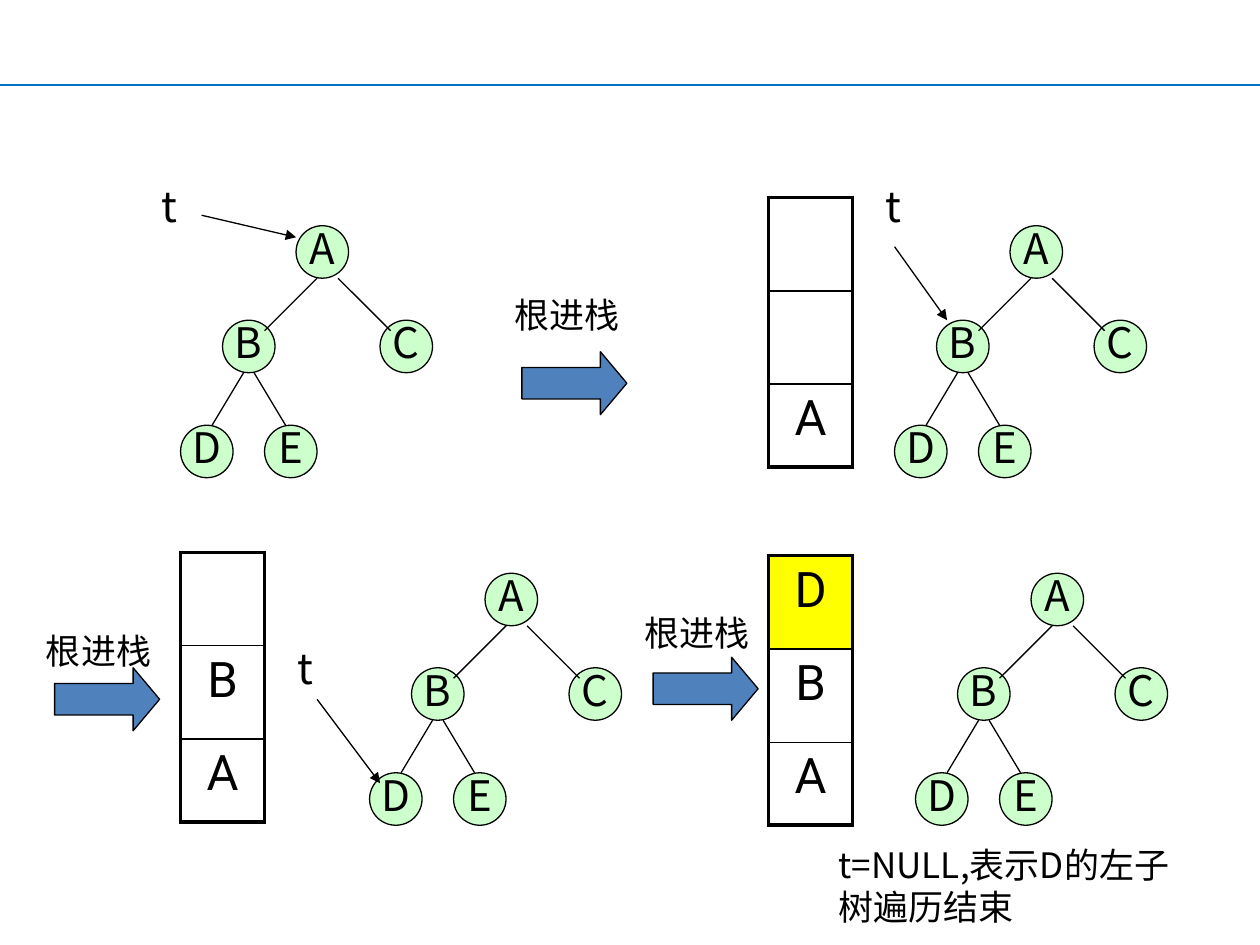
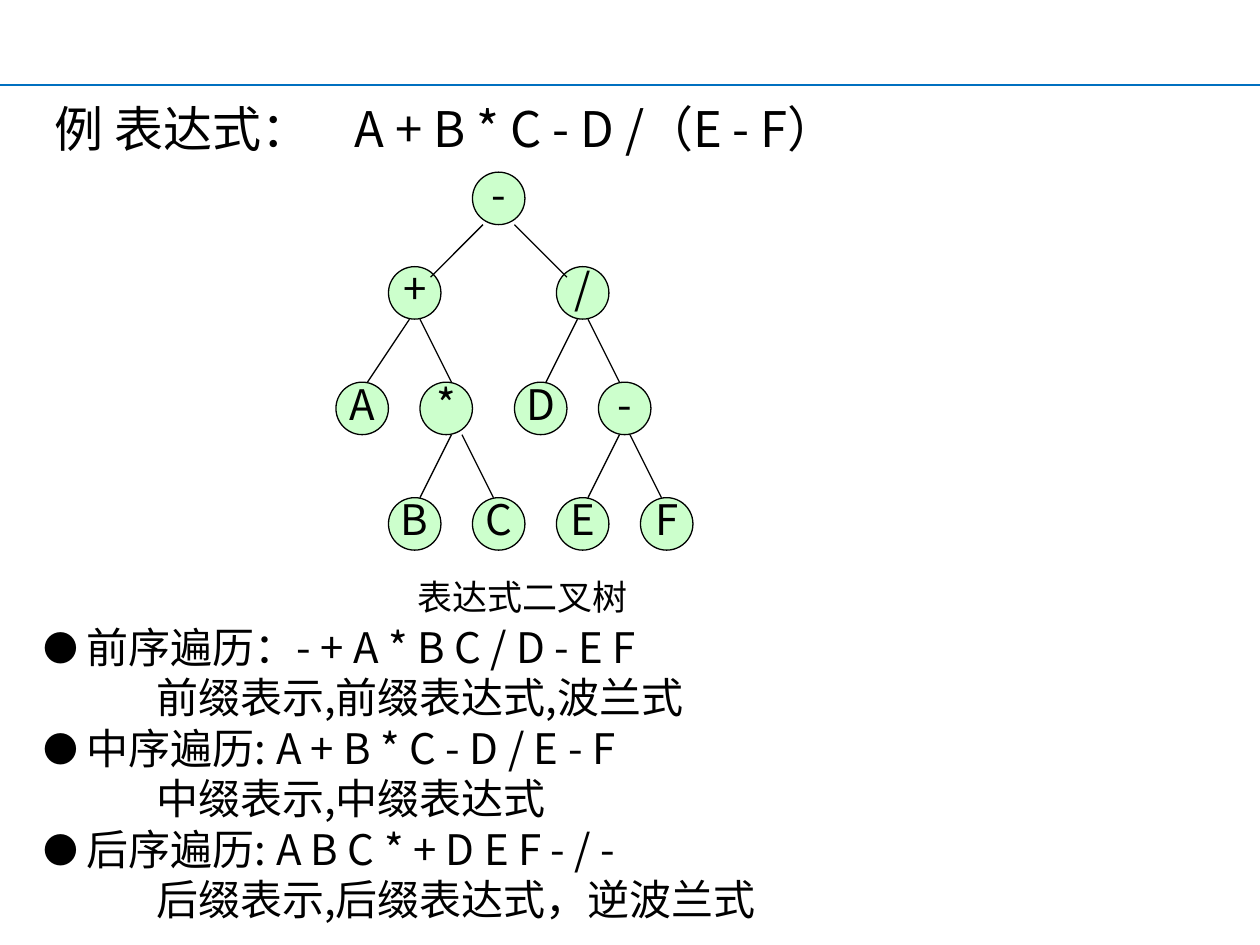
from lxml import etree
from pptx import Presentation
from pptx.dml.color import RGBColor
from pptx.enum.shapes import MSO_CONNECTOR, MSO_SHAPE
from pptx.enum.text import MSO_ANCHOR, PP_ALIGN
from pptx.oxml.ns import qn
from pptx.util import Emu, Pt

EMU_PER_PX = 7620
SLIDE_SIZE = (1200, 900)
FONT, STACK_FONT = "Noto Sans CJK SC", "Roboto"
BLACK, BLUE_RULE, ARROW_BLUE = "000000", "0070C0", "4F81BD"
NODE_GREEN, TOP_YELLOW = "CCFFCC", "FFFF00"
STRAIGHT = MSO_CONNECTOR.STRAIGHT
OVAL, RIGHT_ARROW = MSO_SHAPE.OVAL, MSO_SHAPE.RIGHT_ARROW
CENTER, LEFT = PP_ALIGN.CENTER, PP_ALIGN.LEFT
MIDDLE = MSO_ANCHOR.MIDDLE
NODE_SIZE = 50
STACK_WIDTH, STACK_ROWS = 80, (89, 89, 79)

LETTER_NODES = [("A", 0, 0), ("B", -70, 90), ("C", 80, 90),
                ("D", -110, 190), ("E", -30, 190)]
LETTER_EDGES = [(20, 50, -30, 100), (40, 50, 90, 100),
                (-50, 140, -80, 190), (-40, 140, -10, 190)]
EXPRESSION_NODES = [("-", 0, 0), ("+", -80, 90), ("/", 80, 90),
                    ("A", -130, 200), ("*", -50, 200), ("D", 40, 200), ("-", 120, 200),
                    ("B", -80, 310), ("C", 0, 310), ("E", 80, 310), ("F", 160, 310)]
EXPRESSION_EDGES = [(10, 50, -40, 100), (40, 50, 90, 100),
                    (-60, 140, -100, 200), (-50, 140, -20, 200),
                    (100, 140, 70, 200), (110, 140, 140, 200),
                    (-20, 250, -50, 310), (-10, 250, 20, 310),
                    (140, 250, 110, 310), (150, 250, 180, 310)]
TRAVERSALS = [("前序遍历：- + A * B C / D - E F", "前缀表示,前缀表达式,波兰式"),
              ("中序遍历: A + B * C - D / E - F", "中缀表示,中缀表达式"),
              ("后序遍历: A B C * + D E F - / -", "后缀表示,后缀表达式，逆波兰式")]


def px(value):
    """Turn px into EMU."""
    return Emu(value * EMU_PER_PX)


def color(hex_text):
    """Turn a hex string into a colour."""
    return RGBColor.from_string(hex_text)


def write(paragraph, text, size, font=FONT, align=LEFT):
    """Put black text of one font into a paragraph."""
    paragraph.text = text
    paragraph.alignment = align
    paragraph.font.size = Pt(size)
    paragraph.font.color.rgb = color(BLACK)
    paragraph.font.name = font
    east_asian = etree.SubElement(paragraph.font._element, qn("a:ea"))
    east_asian.set("typeface", font)


def add_line(slide, start_x, start_y, end_x, end_y, line_color=BLACK, width=0.75, arrow=False):
    """Draw a straight line, with an arrowhead at its end if asked."""
    line = slide.shapes.add_connector(STRAIGHT, px(start_x), px(start_y), px(end_x), px(end_y))
    line.line.color.rgb = color(line_color)
    line.line.width = Pt(width)
    if arrow:
        etree.SubElement(line.line._get_or_add_ln(), qn("a:tailEnd")).set("type", "triangle")
    etree.SubElement(line._element.spPr, qn("a:effectLst"))


def add_outlined(slide, kind, left, top, width, height, fill):
    """Draw a filled preset shape with a thin black outline."""
    shape = slide.shapes.add_shape(kind, px(left), px(top), px(width), px(height))
    shape.shadow.inherit = False
    shape.fill.solid()
    shape.fill.fore_color.rgb = color(fill)
    shape.line.color.rgb = color(BLACK)
    shape.line.width = Pt(0.75)
    return shape


def add_text(slide, text, left, top, width, height, size, wrap=True):
    """Add a text box and return its first paragraph."""
    box = slide.shapes.add_textbox(px(left), px(top), px(width), px(height))
    box.text_frame.word_wrap = wrap
    paragraph = box.text_frame.paragraphs[0]
    write(paragraph, text, size)
    return paragraph


def add_tree(slide, left, top, nodes, edges):
    """Draw a binary tree whose root circle has the given corner."""
    for label, across, down in nodes:
        node = add_outlined(slide, OVAL, left + across, top + down,
                            NODE_SIZE, NODE_SIZE, NODE_GREEN)
        node.text_frame.word_wrap = False
        node.text_frame.vertical_anchor = MIDDLE
        paragraph = node.text_frame.paragraphs[0]
        paragraph.line_spacing = 0.8
        write(paragraph, label, 24, align=CENTER)
    for start_x, start_y, end_x, end_y in edges:
        add_line(slide, left + start_x, top + start_y, left + end_x, top + end_y)


def add_pointer(slide, left, top, arrow):
    """Draw the pointer t with its arrow."""
    add_text(slide, "t", left, top, 110, 60, 24)
    add_line(slide, *arrow, arrow=True)


def set_border(cell, side, width):
    """Give one side of a cell a black border."""
    border = etree.SubElement(cell._tc.get_or_add_tcPr(), qn(f"a:ln{side}"), w=str(Pt(width)))
    fill = etree.SubElement(border, qn("a:solidFill"))
    etree.SubElement(fill, qn("a:srgbClr"), val=BLACK)


def add_stack(slide, left, top, items, top_fill=None):
    """Draw a stack as a one-column table, top item first."""
    table = slide.shapes.add_table(len(items), 1, px(left), px(top),
                                   px(STACK_WIDTH), px(sum(STACK_ROWS))).table
    table.first_row = table.horz_banding = False
    last = len(items) - 1
    for index, item in enumerate(items):
        table.rows[index].height = px(STACK_ROWS[index])
        cell = table.cell(index, 0)
        widths = {"L": 2.25, "R": 2.25, "T": 1 if index else 2.25,
                  "B": 2.25 if index == last else 1}
        for side, width in widths.items():
            set_border(cell, side, width)
        if top_fill and index == 0:
            cell.fill.solid()
            cell.fill.fore_color.rgb = color(top_fill)
        else:
            cell.fill.background()
        if item:
            write(cell.text_frame.paragraphs[0], item, 28, STACK_FONT, CENTER)


def add_push_step(slide, arrow_left, arrow_top, label_left, label_top, label_width):
    """Draw a block arrow with its push label."""
    arrow = add_outlined(slide, RIGHT_ARROW, arrow_left, arrow_top, 100, 60, ARROW_BLUE)
    arrow.adjustments[0] = 0.5
    arrow.adjustments[1] = 0.42
    add_text(slide, "根进栈", label_left, label_top, label_width, 52, 20)


def set_indent(paragraph, margin, first_line=0):
    """Indent a paragraph and return its properties."""
    properties = paragraph._p.get_or_add_pPr()
    properties.set("marL", str(px(margin)))
    properties.set("indent", str(px(first_line)))
    return properties


def add_traversals(slide):
    """List each traversal as a bullet with its notations indented below."""
    box = slide.shapes.add_textbox(px(30), px(586), px(970), px(300))
    frame = box.text_frame
    frame.word_wrap = True
    for index, (order, notation) in enumerate(TRAVERSALS):
        paragraph = frame.add_paragraph() if index else frame.paragraphs[0]
        properties = set_indent(paragraph, 41, -41)
        etree.SubElement(properties, qn("a:buSzPct")).set("val", "83000")
        etree.SubElement(properties, qn("a:buFont")).set("typeface", FONT)
        etree.SubElement(properties, qn("a:buChar")).set("char", "●")
        write(paragraph, order, 24)
        paragraph = frame.add_paragraph()
        set_indent(paragraph, 107)
        write(paragraph, notation, 24)


def add_heading(slide):
    """Write the example expression, set off by a tab stop."""
    box = slide.shapes.add_textbox(px(40), px(88), px(1061), px(44))
    box.text_frame.word_wrap = True
    paragraph = box.text_frame.paragraphs[0]
    tabs = etree.SubElement(paragraph._p.get_or_add_pPr(), qn("a:tabLst"))
    etree.SubElement(tabs, qn("a:tab"), pos=str(px(286)), algn="l")
    write(paragraph, "例 表达式：\tA + B * C - D /（E - F）", 28)


def new_slide(presentation):
    """Add a blank slide with the blue rule."""
    slide = presentation.slides.add_slide(presentation.slide_layouts[6])
    add_line(slide, 0, 81, SLIDE_SIZE[0], 81, BLUE_RULE, 1.5)
    return slide


def build_stack_slide(presentation):
    """Show the stack growing while the tree is walked leftwards."""
    slide = new_slide(presentation)
    for left, top in [(282, 215), (962, 215), (462, 546), (982, 546)]:
        add_tree(slide, left, top, LETTER_NODES, LETTER_EDGES)
    add_pointer(slide, 142, 166, (192, 205, 282, 226))
    add_pointer(slide, 832, 166, (852, 235, 902, 305))
    add_pointer(slide, 272, 606, (302, 666, 362, 746))
    add_stack(slide, 732, 188, ["", "", "A"])
    add_stack(slide, 172, 526, ["", "B", "A"])
    add_stack(slide, 732, 529, ["D", "B", "A"], TOP_YELLOW)
    add_push_step(slide, 497, 335, 478, 274, 230)
    add_push_step(slide, 52, 636, 32, 594, 150)
    add_push_step(slide, 622, 626, 602, 576, 230)
    add_text(slide, "t=NULL,表示D的左子树遍历结束", 787, 797, 350, 92, 20)


def build_expression_slide(presentation):
    """Show an expression tree and its three traversals."""
    slide = new_slide(presentation)
    add_heading(slide)
    add_tree(slide, 450, 164, EXPRESSION_NODES, EXPRESSION_EDGES)
    add_traversals(slide)
    add_text(slide, "表达式二叉树", 386, 542, 224, 52, 20, wrap=False)


def main():
    """Build both slides and save them."""
    presentation = Presentation()
    presentation.slide_width, presentation.slide_height = map(px, SLIDE_SIZE)
    build_stack_slide(presentation)
    build_expression_slide(presentation)
    presentation.save("out.pptx")


if __name__ == "__main__":
    main()
